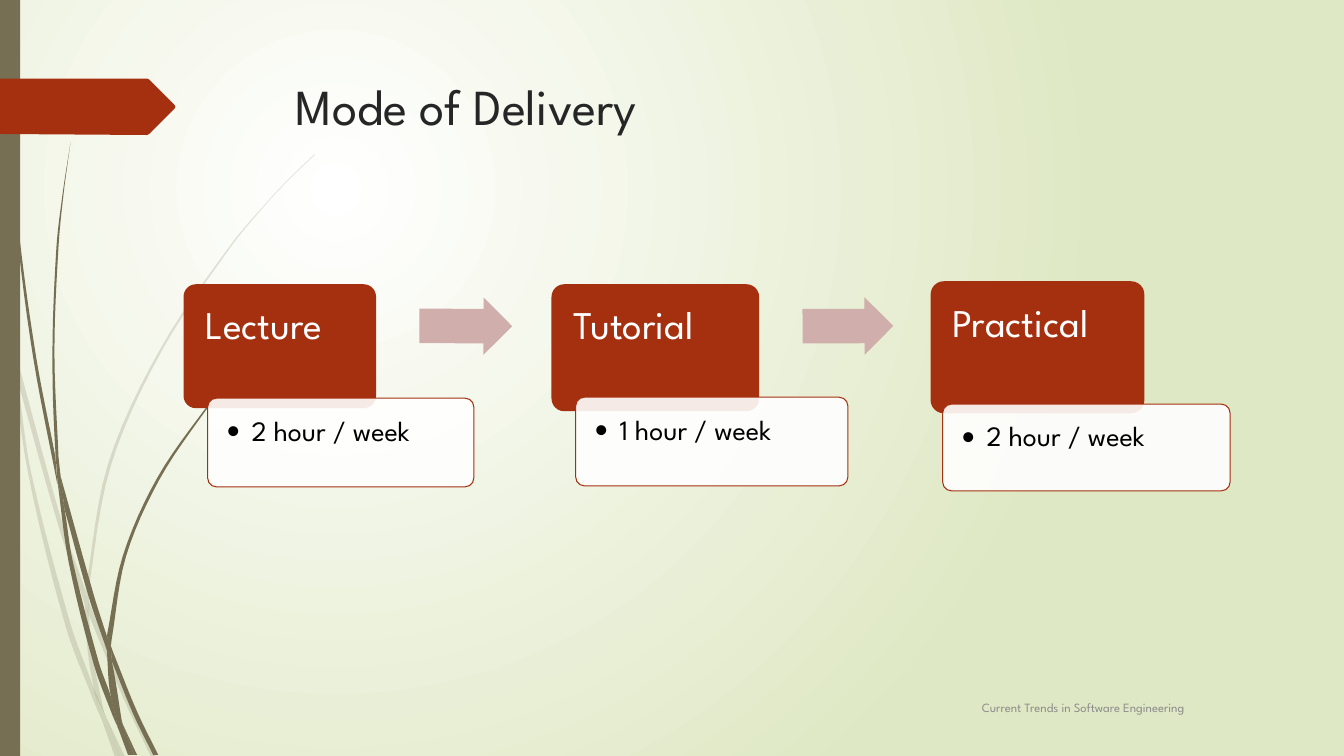
from math import dist

from lxml import etree
from pptx import Presentation
from pptx.dml.color import RGBColor
from pptx.enum import shapes, text
from pptx.oxml import ns
from pptx.util import Inches, Pt

FONT = "League Spartan"
RUST, OLIVE, WHITE = "A53010", "766F54", "FFFFFF"
KIND = shapes.MSO_SHAPE

# Each blade of grass: one edge, then the other edge on the way back.
FAINT_BLADES = [
    ([(0, 2.82), (0.09, 3.22), (0.11, 3.5)], [(0.1, 3.44), (0, 2.99)]),
    ([(0.14, 3.45), (0.62, 5.2), (0.85, 5.86)], [(0.84, 5.99), (0.58, 5.22), (0.17, 3.76)]),
    ([(0.88, 5.96), (0.92, 6.07), (1.27, 6.92), (1.55, 7.51)],
     [(1.5, 7.51), (1.23, 6.94), (0.88, 6.1)]),
    ([(1.05, 7.11), (1.24, 7.51)], [(1.19, 7.51)]),
    ([(0.11, 3.5), (0.17, 3.76), (0.31, 4.69), (0.7, 6.19), (0.93, 6.83), (0.99, 7.07)],
     [(1.01, 7.14), (0.92, 6.93), (0.65, 6.21), (0.28, 4.7), (0.11, 3.5)]),
    ([(0.84, 5.99), (0.88, 6.1), (0.91, 6.46), (1.03, 7.06)],
     [(1.05, 7.11), (0.96, 6.92), (0.93, 6.83), (0.87, 6.46), (0.84, 5.99)]),
    ([(3.12, 1.53), (2.89, 1.75), (2.68, 1.97), (2.28, 2.44), (1.58, 3.48), (1.07, 4.61),
      (0.85, 5.84)],
     [(0.88, 5.96), (0.88, 5.84), (1.1, 4.62), (1.6, 3.49), (2.29, 2.45), (2.68, 1.98),
      (2.9, 1.75), (3.12, 1.54)]),
    ([(1.01, 7.14), (1.14, 7.51)], [(1.19, 7.51)]),
    ([(0.85, 5.86), (0.88, 5.96), (0.88, 6.1)], [(0.84, 5.99)]),
    ([(0.93, 6.83), (1.05, 7.11), (1.19, 7.51)], [(1.01, 7.14), (0.99, 7.07)]),
]
DARK_BLADES = [
    ([(0.03, 0), (0.04, 0.48), (0.07, 1.1), (0.17, 2.33), (0.33, 3.55), (0.57, 4.81)],
     [(0.55, 4.53), (0.36, 3.55), (0.19, 2.32), (0.08, 1.09), (0.05, 0.48), (0.04, 0)]),
    ([(0.6, 4.72), (0.93, 5.9), (1.06, 6.31)], [(1.06, 6.45), (0.88, 5.92), (0.64, 5.05)]),
    ([(1.1, 6.41), (1.13, 6.49), (1.36, 7.06), (1.57, 7.49)],
     [(1.52, 7.49), (1.32, 7.08), (1.11, 6.56)]),
    ([(0.57, 4.77), (0.64, 5.05), (0.72, 5.56), (0.98, 6.57), (1.1, 6.91), (1.16, 7.17)],
     [(1.17, 7.22), (1.11, 7.08), (0.93, 6.59), (0.68, 5.57), (0.57, 4.77)]),
    ([(0.7, 1.41), (0.62, 1.93), (0.56, 2.45), (0.52, 3.49), (0.55, 4.49), (0.6, 4.72)],
     [(0.58, 4.53), (0.54, 3.49), (0.58, 2.45), (0.63, 1.93), (0.7, 1.41)]),
    ([(1.22, 7.19), (1.36, 7.49)], [(1.33, 7.49)]),
    ([(0.55, 4.49), (0.6, 4.72), (0.64, 5.05)], [(0.57, 4.77)]),
    ([(2.6, 3.44), (2.31, 3.73), (2.04, 4.05), (1.56, 4.74), (1.22, 5.51), (1.06, 6.31)],
     [(1.1, 6.41), (1.11, 6.33), (1.25, 5.52), (1.58, 4.76), (2.05, 4.06), (2.31, 3.74),
      (2.61, 3.44)]),
    ([(1.17, 7.22), (1.31, 7.49)], [(1.27, 7.49)]),
    ([(1.06, 6.45), (1.11, 6.56), (1.21, 7.16)], [(1.22, 7.19), (1.1, 6.91), (1.06, 6.45)]),
    ([(1.06, 6.31), (1.1, 6.41), (1.11, 6.56)], [(1.06, 6.45)]),
    ([(1.1, 6.91), (1.22, 7.19), (1.33, 7.49)], [(1.3, 7.49), (1.17, 7.22)]),
]

# Session, its place, weekly load, its place
SESSIONS = [
    ("Lecture", (1.82, 2.82, 1.91, 1.23), "2 hour / week", (2.06, 3.95, 2.64, 0.88)),
    ("Tutorial", (5.47, 2.82, 2.06, 1.26), "1 hour / week", (5.71, 3.94, 2.7, 0.88)),
    ("Practical", (9.23, 2.79, 2.12, 1.31), "2 hour / week", (9.35, 4.01, 2.85, 0.86)),
]
ARROWS = [((4.16, 2.95, 0.92, 0.57), 0.2), ((7.96, 2.95, 0.9, 0.57), -0.2)]


def rgb(value):
    return RGBColor.from_string(value)


def paint(shape, fill, alpha=100, line=None):
    shape.shadow.inherit = False
    shape.fill.solid()
    shape.fill.fore_color.rgb = rgb(fill)
    if alpha < 100:
        colour = shape.fill._xPr.find(".//" + ns.qn("a:srgbClr"))
        etree.SubElement(colour, ns.qn("a:alpha"), val=str(alpha * 1000))
    if line:
        shape.line.color.rgb = rgb(line)
        shape.line.width = Pt(0.75)
    else:
        shape.line.fill.background()


def write(shape, words, size, colour, insets=(0.1, 0.05, 0.1, 0.05), spacing=None,
          anchor=text.MSO_ANCHOR.TOP, bullet=False):
    frame = shape.text_frame
    frame.word_wrap = True
    frame.auto_size = text.MSO_AUTO_SIZE.NONE
    frame.vertical_anchor = anchor
    (frame.margin_left, frame.margin_top,
     frame.margin_right, frame.margin_bottom) = map(Inches, insets)
    para = frame.paragraphs[0]
    para.alignment = text.PP_ALIGN.LEFT
    if spacing:
        para.line_spacing = spacing
    if bullet:
        props = para._p.get_or_add_pPr()
        props.set("marL", str(Inches(0.25)))
        props.set("indent", str(Inches(-0.25)))
        etree.SubElement(props, ns.qn("a:buFont"), typeface="+mn-lt")
        etree.SubElement(props, ns.qn("a:buChar"), char="•")
    run = para.add_run()
    run.text = words
    run.font.name = FONT
    run.font.size = Pt(size)
    run.font.color.rgb = rgb(colour)


def add_block(slide, kind, place, fill, **look):
    block = slide.shapes.add_shape(kind, *map(Inches, place))
    paint(block, fill, **look)
    return block


def add_outline(slide, points, fill, alpha=100):
    corners = [(Inches(x), Inches(y)) for x, y in points]
    builder = slide.shapes.build_freeform(*corners[0])
    builder.add_line_segments(corners[1:], close=True)
    paint(builder.convert_to_shape(), fill, alpha)


def smooth(points, steps=6):
    """Return points along a curve whose tangents allow for uneven spacing."""
    padded = [points[0], *points, points[-1]]
    slopes = [[(c - a) / (dist(before, here) + dist(here, after)) for a, c in zip(before, after)]
              for before, here, after in zip(padded, points, padded[2:])] if points[1:] else []
    curve = []
    for p, q, m, n in zip(points, points[1:], slopes, slopes[1:]):
        span = dist(p, q)
        for t in (i / steps for i in range(steps)):
            rise = t * t * (3 - 2 * t)
            curve.append(tuple(
                a + (b - a) * rise + span * t * (1 - t) * (u * (1 - t) - v * t)
                for a, b, u, v in zip(p, q, m, n)))
    return curve + [points[-1]]


def set_background(slide):
    fill = slide.background.fill
    fill.gradient()
    for stop, colour, position in zip(fill.gradient_stops, (WHITE, "DFE8C4"), (0, 1)):
        stop.color.rgb = rgb(colour)
        stop.position = position
    gradient = slide._element.find(".//" + ns.qn("a:gradFill"))
    gradient.remove(gradient.find(ns.qn("a:lin")))
    glow = etree.SubElement(gradient, ns.qn("a:path"), path="circle")
    etree.SubElement(glow, ns.qn("a:fillToRect"), l="50000", t="50000", r="100000", b="100000")


def add_decoration(slide):
    for blades, alpha in ((FAINT_BLADES, 20), (DARK_BLADES, 100)):
        for there, back in blades:
            add_outline(slide, smooth(there) + smooth(back), OLIVE, alpha)
    add_block(slide, KIND.RECTANGLE, (0, 0, 0.2, 7.5), OLIVE)
    add_outline(slide, [(0, 0.78), (1.46, 0.78), (1.48, 0.79), (1.73, 1.04), (1.74, 1.06),
                        (1.73, 1.08), (1.48, 1.33), (1.46, 1.34), (0, 1.33)], RUST)


def add_session(slide, name, name_place, load, load_place):
    heading = add_block(slide, KIND.ROUNDED_RECTANGLE, name_place, RUST)
    write(heading, name, 28, WHITE, insets=(0.18, 0.18, 0.18, 0.12), spacing=0.9)
    detail = add_block(slide, KIND.ROUNDED_RECTANGLE, load_place, WHITE, alpha=90, line=RUST)
    write(detail, load, 20, "000000", insets=(0.16,) * 4, spacing=0.9, bullet=True)
    for card in (heading, detail):
        card.adjustments[0] = 0.1


def main():
    deck = Presentation()
    deck.slide_width, deck.slide_height = Inches(13.33), Inches(7.5)
    slide = deck.slides.add_slide(deck.slide_layouts[5])
    set_background(slide)
    add_decoration(slide)
    title = slide.shapes.title
    title.left, title.top, title.width, title.height = map(Inches, (2.83, 0.69, 9.75, 1.4))
    write(title, "Mode of Delivery", 36, "262626")
    for session in SESSIONS:
        add_session(slide, *session)
    for place, angle in ARROWS:
        arrow = add_block(slide, KIND.RIGHT_ARROW, place, "CFAEAB")
        arrow.adjustments[0], arrow.adjustments[1] = 0.6, 0.5
        arrow.rotation = angle
    course = slide.shapes.add_textbox(*map(Inches, (9.64, 6.82, 2.94, 0.4)))
    write(course, "Current Trends in Software Engineering", 9, "8C8C8C",
          anchor=text.MSO_ANCHOR.MIDDLE)
    deck.save("out.pptx")


if __name__ == "__main__":
    main()
